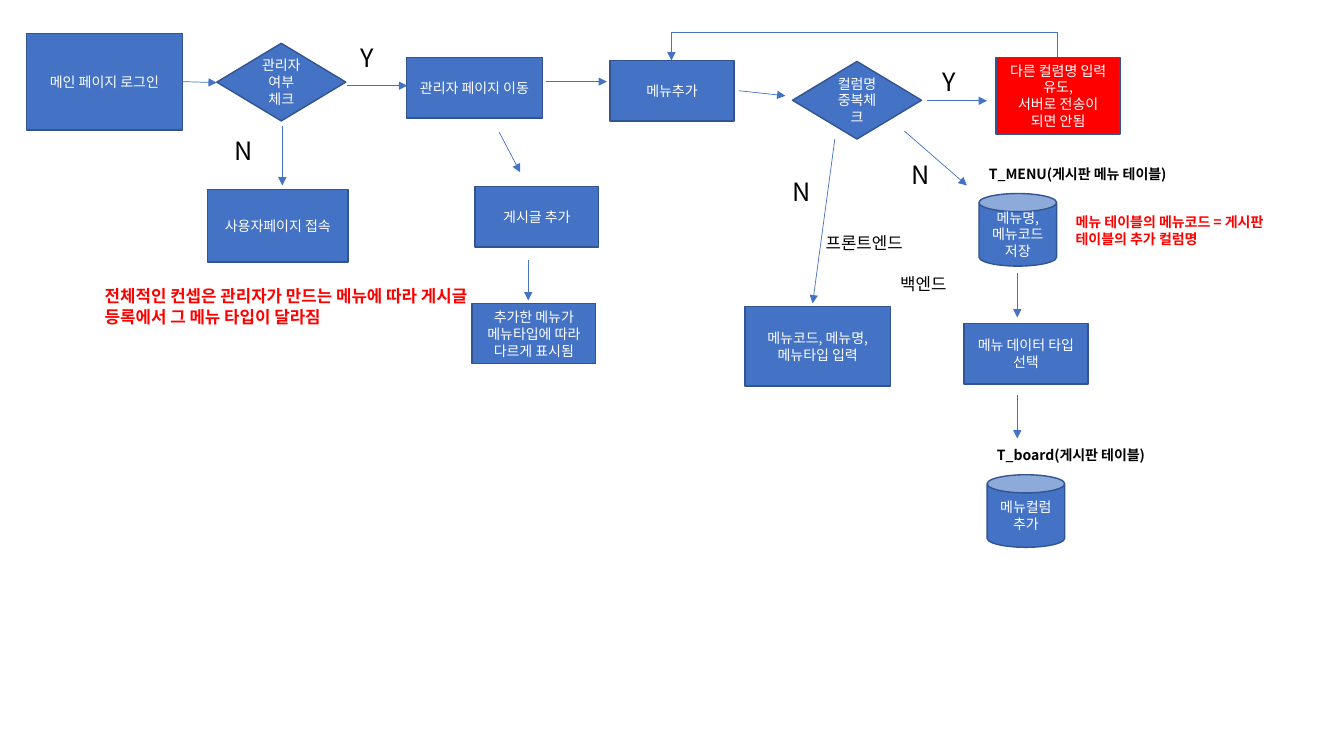
"""Build the flowchart slide for the board menu administration process."""
import lxml.etree
import pptx
import pptx.dml.color
import pptx.enum.shapes
import pptx.enum.text
import pptx.oxml
import pptx.oxml.ns
import pptx.util

Inches = pptx.util.Inches
RGBColor = pptx.dml.color.RGBColor
SHAPE = pptx.enum.shapes.MSO_SHAPE
CONNECTOR = pptx.enum.shapes.MSO_CONNECTOR
ALIGN = pptx.enum.text.PP_ALIGN
qn = pptx.oxml.ns.qn

BLUE = RGBColor(0x44, 0x72, 0xC4)
OUTLINE = RGBColor(0x32, 0x54, 0x91)
RED = RGBColor(0xFF, 0x00, 0x00)
BLACK = RGBColor(0x00, 0x00, 0x00)
WHITE = RGBColor(0xFF, 0xFF, 0xFF)
FONT = "Noto Sans CJK KR"


def write(frame, text, size, color, bold=False, align=ALIGN.LEFT):
    for index, line in enumerate(text.split("\n")):
        para = frame.paragraphs[0] if index == 0 else frame.add_paragraph()
        para.alignment = align
        span = para.add_run()
        span.text = line
        span.font.size = pptx.util.Pt(size)
        span.font.bold = bold
        span.font.color.rgb = color
        span.font.name = FONT
        east_asian = lxml.etree.SubElement(span.font._element, qn("a:ea"))
        east_asian.set("typeface", FONT)


def connect(kind, start, end):
    arrow = page.shapes.add_connector(kind, *map(Inches, start + end))
    arrow.line.color.rgb = BLUE
    arrow.line.width = pptx.util.Pt(0.5)
    lxml.etree.SubElement(arrow.line._get_or_add_ln(), qn("a:tailEnd")).set("type", "triangle")
    lxml.etree.SubElement(arrow._element.spPr, qn("a:effectLst"))
    return arrow


deck = pptx.Presentation()
deck.slide_width = Inches(13.33)
deck.slide_height = Inches(7.5)
page = deck.slides.add_slide(deck.slide_layouts[6])

arrows = [
    ((1.81, 0.81), (2.15, 0.82)),
    ((3.44, 0.85), (4.04, 0.85)),
    ((5.42, 0.81), (6.02, 0.81)),
    ((7.33, 0.9), (7.79, 0.95)),
    ((9.19, 1), (9.79, 1)),
    ((8.97, 1.3), (9.59, 1.84)),
    ((10.09, 2.71), (10.09, 3.15)),
    ((10.09, 3.92), (10.09, 4.35)),
    ((2.8, 1.25), (2.8, 1.84)),
    ((4.95, 1.31), (5.16, 1.71)),
    ((5.24, 2.58), (5.24, 2.98)),
    ((8.28, 1.38), (8.06, 3.01)),
]
for start, end in arrows:
    connect(CONNECTOR.STRAIGHT, start, end)

return_arrow = connect(CONNECTOR.ELBOW, (8.59, 2.5), (8.56, -1.33))
return_arrow._element.spPr.find(qn("a:xfrm")).set("rot", str(270 * 60000))
bend = return_arrow._element.spPr.find(qn("a:prstGeom")).get_or_add_avLst()
guide = lxml.etree.SubElement(bend, qn("a:gd"))
guide.set("name", "adj1")
guide.set("fmla", "val -841500")

steps = [
    (SHAPE.RECTANGLE, 0.26, 0.33, 1.55, 0.96, BLUE, "메인 페이지 로그인"),
    (SHAPE.DIAMOND, 2.15, 0.43, 1.28, 0.77, BLUE, "관리자 여부 체크"),
    (SHAPE.RECTANGLE, 2.06, 1.88, 1.39, 0.72, BLUE, "사용자페이지 접속"),
    (SHAPE.RECTANGLE, 4.03, 0.57, 1.35, 0.6, BLUE, "관리자 페이지 이동"),
    (SHAPE.RECTANGLE, 4.71, 1.85, 1.23, 0.6, BLUE, "게시글 추가"),
    (SHAPE.RECTANGLE, 4.68, 3.01, 1.23, 0.6, BLUE, "추가한 메뉴가 메뉴타입에 따라 다르게 표시됨"),
    (SHAPE.RECTANGLE, 6.05, 0.6, 1.23, 0.6, BLUE, "메뉴추가"),
    (SHAPE.DIAMOND, 7.86, 0.61, 1.28, 0.77, BLUE, "컬럼명 중복체크"),
    (SHAPE.RECTANGLE, 9.88, 0.57, 1.23, 0.76, RED, "다른 컬렴명 입력 유도,\n서버로 전송이 되면 안됨"),
    (SHAPE.RECTANGLE, 7.39, 3.04, 1.44, 0.79, BLUE, "메뉴코드, 메뉴명, 메뉴타입 입력"),
    (SHAPE.CAN, 9.71, 1.92, 0.77, 0.72, BLUE, "메뉴명, 메뉴코드 저장"),
    (SHAPE.RECTANGLE, 9.56, 3.21, 1.23, 0.6, BLUE, "메뉴 데이터 타입 선택"),
    (SHAPE.CAN, 9.79, 4.71, 0.77, 0.72, BLUE, "메뉴컬럼 추가"),
]
for kind, left, top, width, height, fill, text in steps:
    step = page.shapes.add_shape(kind, *map(Inches, (left, top, width, height)))
    step.shadow.inherit = False
    step.fill.solid()
    step.fill.fore_color.rgb = fill
    step.line.color.rgb = OUTLINE
    step.line.width = pptx.util.Pt(1)
    step.text_frame.word_wrap = True
    step.text_frame.vertical_anchor = pptx.enum.text.MSO_ANCHOR.MIDDLE
    write(step.text_frame, text, 10, WHITE, align=ALIGN.CENTER)

labels = [
    (9.71, 1.59, 2.35, 0.27, "T_MENU(게시판 메뉴 테이블)", 10, BLACK, True),
    (9.79, 4.38, 2.27, 0.27, "T_board(게시판 테이블)", 10, BLACK, True),
    (10.57, 2.07, 2.5, 0.44, "메뉴 테이블의 메뉴코드 = 게시판 테이블의 추가 컬럼명", 10, RED, True),
    (0.94, 2.79, 3.81, 0.71, "전체적인 컨셉은 관리자가 만드는 메뉴에 따라 게시글 등록에서 그 메뉴 타입이 달라짐", 12, RED, True),
    (8.83, 2.67, 1.18, 0.3, "백엔드", 12, BLACK, False),
    (8.09, 2.26, 1.18, 0.3, "프론트엔드", 12, BLACK, False),
    (3.48, 0.37, 0.34, 0.4, "Y", 18, BLACK, False),
    (9.25, 0.61, 0.34, 0.4, "Y", 18, BLACK, False),
    (2.23, 1.29, 0.39, 0.4, "N", 18, BLACK, False),
    (8.94, 1.53, 0.39, 0.4, "N", 18, BLACK, False),
    (7.76, 1.7, 0.39, 0.4, "N", 18, BLACK, False),
]
for left, top, width, height, text, size, color, bold in labels:
    box = page.shapes.add_textbox(*map(Inches, (left, top, width, height)))
    box.text_frame.word_wrap = len(text) > 1
    box.text_frame.auto_size = pptx.enum.text.MSO_AUTO_SIZE.SHAPE_TO_FIT_TEXT
    write(box.text_frame, text, size, color, bold)

deck.save("out.pptx")
